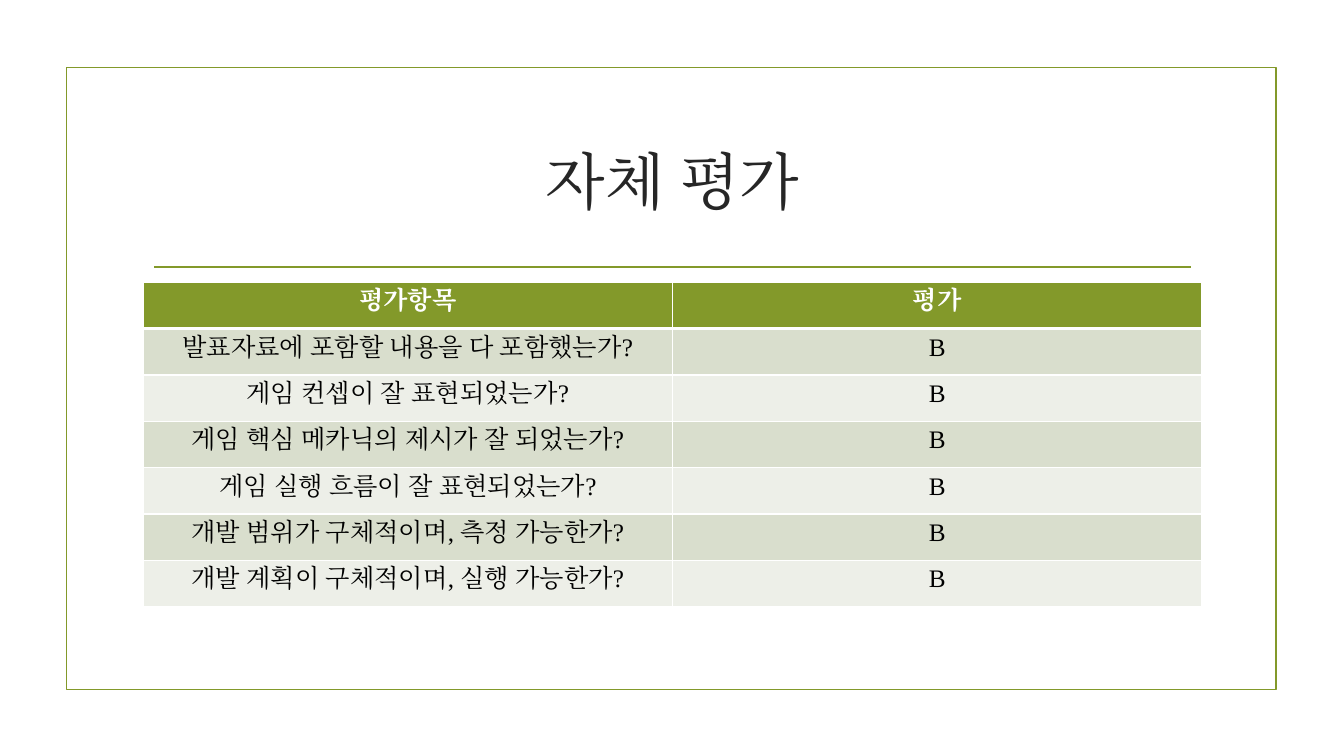
from lxml import etree
from pptx import Presentation
from pptx.dml.color import RGBColor
from pptx.enum.lang import MSO_LANGUAGE_ID
from pptx.enum.shapes import MSO_CONNECTOR, MSO_SHAPE
from pptx.enum.text import MSO_ANCHOR, PP_ALIGN
from pptx.oxml.ns import qn
from pptx.util import Inches, Pt

RECTANGLE = MSO_SHAPE.RECTANGLE
STRAIGHT = MSO_CONNECTOR.STRAIGHT
MIDDLE = MSO_ANCHOR.MIDDLE
CENTER = PP_ALIGN.CENTER
KOREAN = MSO_LANGUAGE_ID.KOREAN

GREEN, WHITE, BLACK, CHARCOAL = "83992A", "FFFFFF", "000000", "262626"
BANDS = ["D9DECD", "EDEFE8"]
FONT = "Times New Roman"
LEFT, WIDTH = 1.42, 10.5
ROW_HEIGHT = 0.46


def color(hex_code):
    return RGBColor.from_string(hex_code)


def write(frame, text, size=18, fill=BLACK, bold=False):
    paragraph = frame.paragraphs[0]
    paragraph.alignment = CENTER
    run = paragraph.add_run()
    run.text = text
    run.font.name = FONT
    run.font.size = Pt(size)
    run.font.bold = bold
    run.font.language_id = KOREAN
    run.font.color.rgb = color(fill)
    # Korean letters take the East Asian typeface
    etree.SubElement(run.font._element, qn("a:ea"), typeface=FONT)


prs = Presentation()
prs.slide_width, prs.slide_height = Inches(13.33), Inches(7.5)
slide = prs.slides.add_slide(prs.slide_layouts[6])
shapes = slide.shapes

# Border around the slide
border = shapes.add_shape(RECTANGLE, Inches(0.66), Inches(0.67), Inches(12), Inches(6.17))
border.shadow.inherit = False
border.fill.background()

# Rule under the title
rule = shapes.add_connector(STRAIGHT, Inches(1.53), Inches(2.65), Inches(11.81), Inches(2.65))
etree.SubElement(rule._element.spPr, qn("a:effectLst"))
for outline in (border.line, rule.line):
    outline.color.rgb = color(GREEN)
    outline.width = Pt(1.25)

# Title
title = shapes.add_textbox(Inches(LEFT), Inches(1.07), Inches(WIDTH), Inches(1.43)).text_frame
title.word_wrap = True
title.vertical_anchor = MIDDLE
write(title, "자체 평가", size=44, fill=CHARCOAL)

# Self-evaluation table
questions = [
    "발표자료에 포함할 내용을 다 포함했는가?",
    "게임 컨셉이 잘 표현되었는가?",
    "게임 핵심 메카닉의 제시가 잘 되었는가?",
    "게임 실행 흐름이 잘 표현되었는가?",
    "개발 범위가 구체적이며, 측정 가능한가?",
    "개발 계획이 구체적이며, 실행 가능한가?",
]
evaluation = [("평가항목", "평가")] + [(question, "B") for question in questions]
table = shapes.add_table(len(evaluation), 2, Inches(LEFT), Inches(2.8),
                         Inches(WIDTH), Inches(ROW_HEIGHT * len(evaluation))).table

for row, entries in enumerate(evaluation):
    header = row == 0
    table.rows[row].height = Inches(ROW_HEIGHT)
    for column, entry in enumerate(entries):
        cell = table.cell(row, column)
        # Cell borders, with a thick line between header and body
        for side in ("L", "R", "T", "B"):
            thick = (row, side) in [(0, "B"), (1, "T")]
            edge = etree.SubElement(cell._tc.get_or_add_tcPr(), qn(f"a:ln{side}"),
                                    w=str(Pt(3 if thick else 1)))
            solid = etree.SubElement(edge, qn("a:solidFill"))
            etree.SubElement(solid, qn("a:srgbClr"), val=WHITE)
        cell.fill.solid()
        cell.fill.fore_color.rgb = color(GREEN if header else BANDS[(row - 1) % 2])
        write(cell.text_frame, entry, fill=WHITE if header else BLACK, bold=header)

prs.save("out.pptx")
